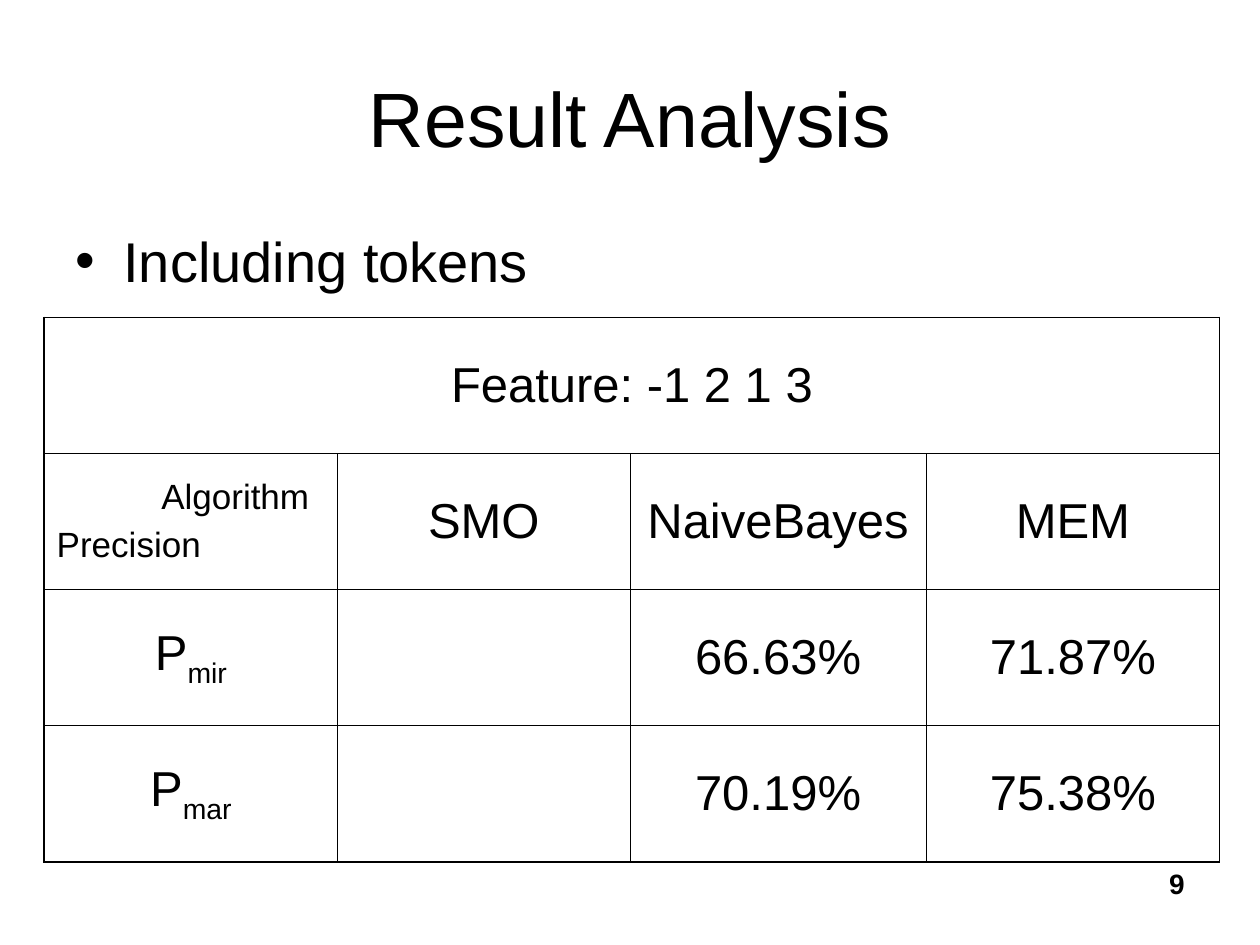
from lxml.etree import SubElement
from pptx import Presentation
from pptx.dml.color import RGBColor
from pptx.enum.text import MSO_ANCHOR, PP_ALIGN
from pptx.oxml.ns import qn
from pptx.util import Inches, Pt

BLACK = "000000"
OUTER_LINE, INNER_LINE = 1.08, 0.45
HEADING = "Feature: -1 2 1 3"
COLUMN_WIDTHS = [2.33, 2.32, 2.35, 2.33]
ROW_HEIGHT = 1.08
# A tuple holds a symbol and its subscript.
ROWS = [
    ["", "SMO", "NaiveBayes", "MEM"],
    [("P", "mir"), "", "66.63%", "71.87%"],
    [("P", "mar"), "", "70.19%", "75.38%"],
]


def color(value):
    return RGBColor.from_string(value)


def place(shape, left, top, width, height):
    shape.left, shape.top = Inches(left), Inches(top)
    shape.width, shape.height = Inches(width), Inches(height)


def format_paragraph(paragraph, size, alignment=PP_ALIGN.LEFT, bold=False):
    paragraph.alignment = alignment
    paragraph.space_before = Pt(0)
    for run in paragraph.runs:
        run.font.name = "Arial"
        run.font.size = Pt(size)
        run.font.bold = bold
        run.font.color.rgb = color(BLACK)


def add_title(slide, box):
    title = slide.shapes.title
    place(title, *box)
    title.text_frame.text = "Result Analysis"
    title.text_frame.vertical_anchor = MSO_ANCHOR.MIDDLE
    format_paragraph(title.text_frame.paragraphs[0], 44, PP_ALIGN.CENTER)


def add_bullet_list(slide, box):
    body = slide.placeholders[1]
    place(body, *box)
    body.text_frame.text = "Including tokens"
    paragraph = body.text_frame.paragraphs[0]
    properties = paragraph._p.get_or_add_pPr()
    properties.set("marL", str(Inches(0.38)))
    properties.set("indent", str(-Inches(0.38)))
    SubElement(properties, qn("a:buChar"), char="•")
    format_paragraph(paragraph, 32)


def set_border(cell, side, width):
    line = SubElement(cell._tc.get_or_add_tcPr(), qn(f"a:ln{side}"), w=str(Pt(width)))
    fill = SubElement(line, qn("a:solidFill"))
    SubElement(fill, qn("a:srgbClr"), val=BLACK)


def style_cells(table):
    """Draw a heavier line around the table than inside it, and no fill."""
    last_row, last_column = len(table.rows) - 1, len(table.columns) - 1
    for row in range(last_row + 1):
        for column in range(last_column + 1):
            cell = table.cell(row, column)
            on_edge = {"L": column == 0, "R": column == last_column,
                       "T": row == 0, "B": row == last_row}
            for side, outer in on_edge.items():
                set_border(cell, side, OUTER_LINE if outer else INNER_LINE)
            cell.fill.background()
            cell.vertical_anchor = MSO_ANCHOR.MIDDLE


def fill_cell(cell, content):
    symbol, subscript = content if isinstance(content, tuple) else (content, "")
    paragraph = cell.text_frame.paragraphs[0]
    paragraph.text = symbol
    if subscript:
        paragraph.add_run().text = subscript
    format_paragraph(paragraph, 28, PP_ALIGN.CENTER)
    if subscript:
        paragraph.runs[1].font._element.set("baseline", "-25000")


def fill_corner(cell):
    """Name the columns on an indented line and the rows on the line below."""
    cell.text_frame.text = "Algorithm\nPrecision"
    column_label, row_label = cell.text_frame.paragraphs
    for paragraph in (column_label, row_label):
        format_paragraph(paragraph, 20)
    column_label._p.get_or_add_pPr().set("marL", str(Inches(0.83)))
    row_label.space_before = Pt(5)


def add_result_table(slide, left, top):
    row_count, column_count = len(ROWS) + 1, len(COLUMN_WIDTHS)
    table = slide.shapes.add_table(
        row_count, column_count, Inches(left), Inches(top),
        Inches(sum(COLUMN_WIDTHS)), Inches(ROW_HEIGHT * row_count)).table
    table.first_row = table.horz_banding = False
    for column, width in zip(table.columns, COLUMN_WIDTHS):
        column.width = Inches(width)
    for row in table.rows:
        row.height = Inches(ROW_HEIGHT)
    style_cells(table)
    table.cell(0, 0).merge(table.cell(0, column_count - 1))
    fill_cell(table.cell(0, 0), HEADING)
    for row, contents in enumerate(ROWS, start=1):
        for column, content in enumerate(contents):
            if content:
                fill_cell(table.cell(row, column), content)
    fill_corner(table.cell(1, 0))


def add_page_number(slide, box):
    text_frame = slide.shapes.add_textbox(*map(Inches, box)).text_frame
    text_frame.word_wrap = True
    text_frame.text = "9"
    format_paragraph(text_frame.paragraphs[0], 16, PP_ALIGN.RIGHT, bold=True)


def main():
    presentation = Presentation()
    presentation.slide_width, presentation.slide_height = Inches(10), Inches(7.5)
    slide = presentation.slides.add_slide(presentation.slide_layouts[1])
    add_title(slide, (0.5, 0.3, 9, 1.25))
    add_bullet_list(slide, (0.5, 1.75, 9, 2.39))
    add_result_table(slide, 0.35, 2.52)
    add_page_number(slide, (7.17, 6.83, 2.33, 0.52))
    presentation.save("out.pptx")


if __name__ == "__main__":
    main()
